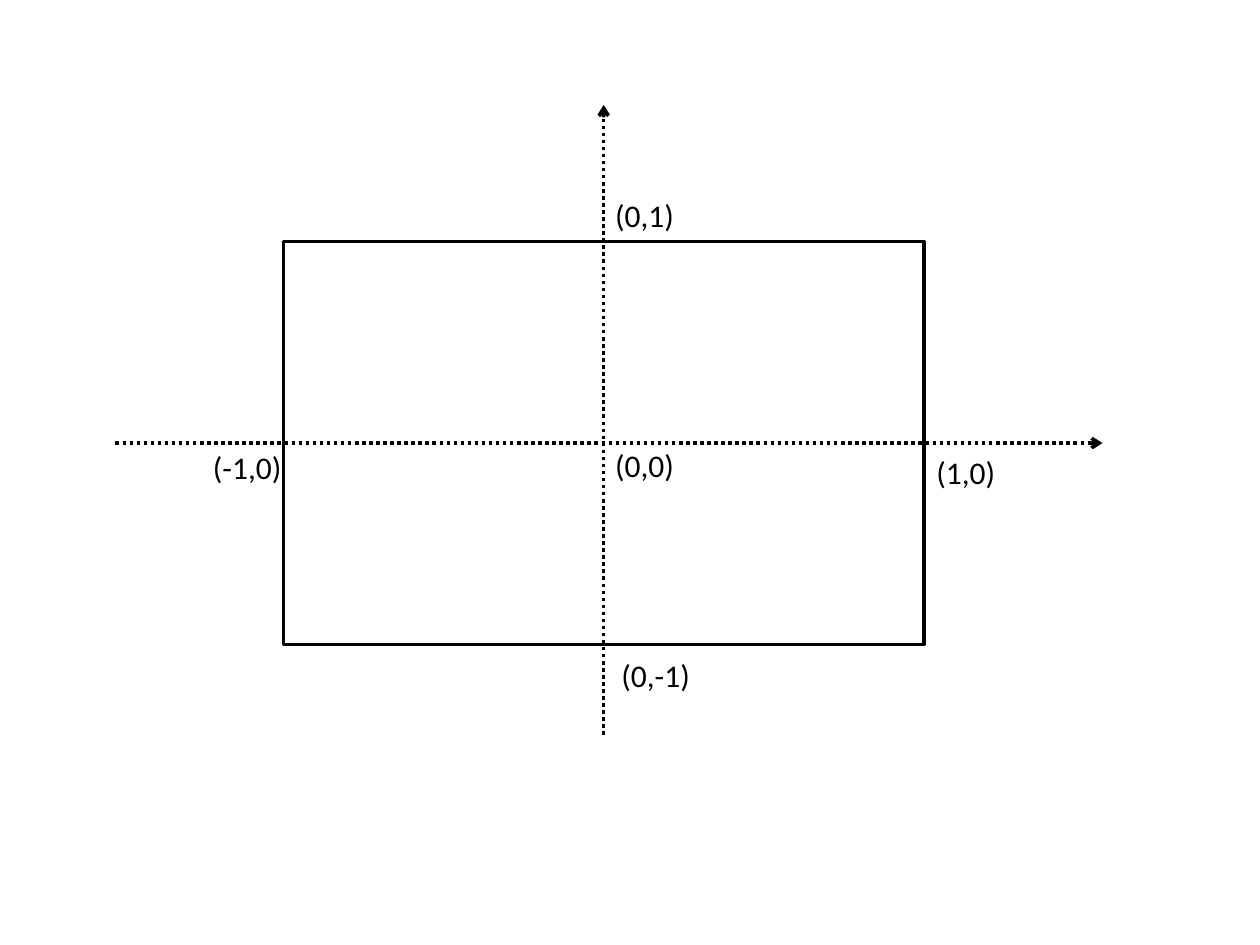
import pptx
import pptx.dml.color
import pptx.enum.dml
import pptx.enum.shapes
import pptx.enum.text
import pptx.oxml.ns
import pptx.util
from lxml import etree


def colour(code):
    """Turn a hex string into a colour."""
    return pptx.dml.color.RGBColor.from_string(code)


class Diagram:
    """Draw on one slide over a grid of twelve cells to the inch."""

    font = "Calibri"
    size = pptx.util.Pt(18)
    ink = "000000"
    paper = "FFFFFF"
    weight = pptx.util.Pt(2)

    def __init__(self, slide):
        """Keep the slide to draw on."""
        self.shapes = slide.shapes

    def cells(self, *counts):
        """Turn grid counts into lengths."""
        return [pptx.util.Inches(count / 12) for count in counts]

    def stroke(self, line):
        """Give a line the common ink and weight."""
        line.color.rgb = colour(self.ink)
        line.width = self.weight

    def rectangle(self, left, top, width, height):
        """Draw an outlined rectangle."""
        outline = self.shapes.add_shape(
            pptx.enum.shapes.MSO_SHAPE.RECTANGLE,
            *self.cells(left, top, width, height))
        outline.shadow.inherit = False
        outline.fill.solid()
        outline.fill.fore_color.rgb = colour(self.paper)
        self.stroke(outline.line)

    def axis(self, *ends):
        """Draw a dotted arrow from the first point to the second."""
        arrow = self.shapes.add_connector(
            pptx.enum.shapes.MSO_CONNECTOR.STRAIGHT, *self.cells(*ends))
        self.stroke(arrow.line)
        arrow.line.dash_style = pptx.enum.dml.MSO_LINE.ROUND_DOT
        qn = pptx.oxml.ns.qn
        etree.SubElement(arrow.line._get_or_add_ln(), qn("a:tailEnd"), type="arrow")
        etree.SubElement(arrow._element.spPr, qn("a:effectLst"))

    def label(self, wording, left, top, width):
        """Write one coordinate pair."""
        frame = self.shapes.add_textbox(*self.cells(left, top, width, 4.8)).text_frame
        frame.word_wrap = False
        frame.auto_size = pptx.enum.text.MSO_AUTO_SIZE.SHAPE_TO_FIT_TEXT
        frame.text = wording
        font = frame.paragraphs[0].runs[0].font
        font.name = self.font
        font.size = self.size
        font.color.rgb = colour(self.ink)


def main():
    """Build the coordinate diagram."""
    deck = pptx.Presentation()
    deck.slide_width = pptx.util.Inches(10)
    deck.slide_height = pptx.util.Inches(7.5)
    diagram = Diagram(deck.slides.add_slide(deck.slide_layouts[6]))

    left, top, width, height = 27, 23, 61, 38.4
    origin_x, origin_y = left + width / 2, top + height / 2
    diagram.rectangle(left, top, width, height)
    diagram.axis(11, origin_y, 105, origin_y)
    diagram.axis(origin_x, 70, origin_x, 10)

    short, long = 8.2, 9
    for wording, x, y, span in (
        ("(1,0)", 88, 42.6, short),
        ("(-1,0)", 19.1, 42.1, long),
        ("(0,1)", 57.4, 18.1, short),
        ("(0,-1)", 58, 61.9, long),
        ("(0,0)", 57.4, 41.9, short),
    ):
        diagram.label(wording, x, y, span)

    deck.save("out.pptx")


if __name__ == "__main__":
    main()
